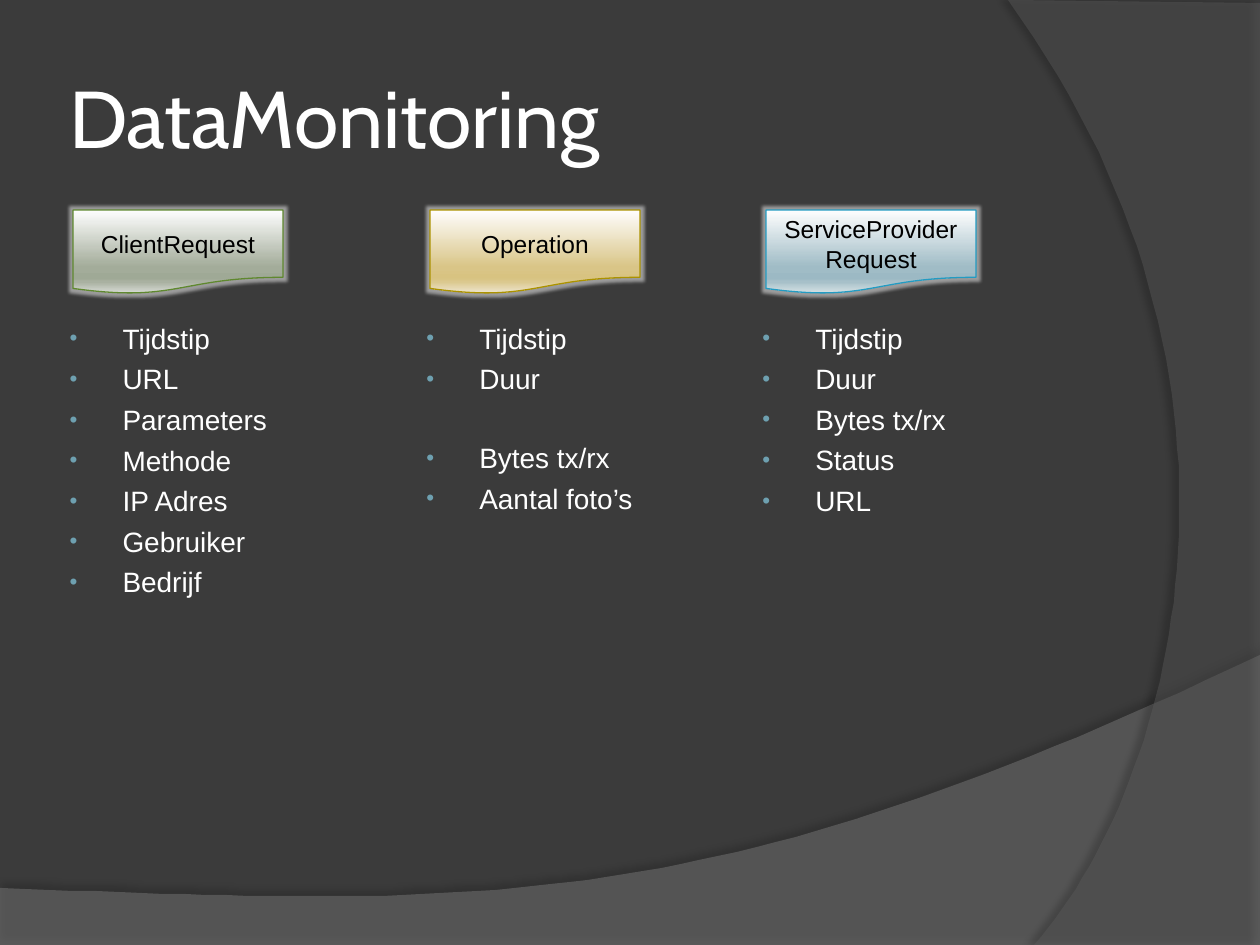
import pptx
import pptx.dml.color
import pptx.enum.shapes
import pptx.enum.text
import pptx.oxml
import pptx.oxml.ns
import pptx.util

EMU_PER_PX = 914400 / 126
NAMESPACE = pptx.oxml.ns.nsdecls("a")
COLORS = {
    "background": "3B3B3B", "lower_sweep": "7F7F7F", "right_sweep": "5E5E5E",
    "text": "FFFFFF", "label": "000000", "bullet": "6EA0B0",
    "shadow": "000000", "glow": "FFFFFF",
}
GRADIENT_POSITIONS = [0, 68, 81, 86, 100]
GAP = "gap before"
COLUMNS = [
    {"left": 52, "label": "ClientRequest", "line": "5F882F",
     "gradient": ["FEFEFE", "A3AC9A", "9FA996", "A9B1A1", "DBDED9"],
     "items": ["Tijdstip", "URL", "Parameters", "Methode", "IP Adres", "Gebruiker", "Bedrijf"]},
    {"left": 409, "label": "Operation", "line": "AB9200",
     "gradient": ["FFFEFE", "D9C587", "D8C381", "DBC990", "EFE7D3"],
     "items": ["Tijdstip", "Duur", GAP, "Bytes tx/rx", "Aantal foto’s"]},
    {"left": 745, "label": "ServiceProviderRequest", "line": "239BC2",
     "gradient": ["FEFEFE", "A0BCC6", "9CB9C4", "A7C0C9", "DAE4E7"],
     "items": ["Tijdstip", "Duur", "Bytes tx/rx", "Status", "URL"]},
]


def px(value):
    return pptx.util.Emu(round(value * EMU_PER_PX))


def rgb(hex_value):
    return pptx.dml.color.RGBColor.from_string(hex_value)


def apply_format(target, values):
    for name, value in values.items():
        setattr(target, name, value)


def place(shape, left, top, width, height):
    apply_format(shape, {"left": px(left), "top": px(top),
                         "width": px(width), "height": px(height)})


def write_text(paragraph, text, size, font_name, color):
    run = paragraph.add_run()
    run.text = text
    apply_format(run.font, {"size": pptx.util.Pt(size), "name": font_name, "bold": False})
    run.font.color.rgb = rgb(color)


def add_effect(shape, xml):
    shape.shadow.inherit = False
    shape.element.spPr.find(pptx.oxml.ns.qn("a:effectLst")).append(pptx.oxml.parse_xml(xml))


def curve_points(start, first, second, end, steps=60):
    """Points along a cubic curve, without its start."""
    for step in range(1, steps + 1):
        t = step / steps
        weights = ((1 - t) ** 3, 3 * t * (1 - t) ** 2, 3 * t * t * (1 - t), t ** 3)
        yield tuple(sum(weight * point[axis] for weight, point in
                        zip(weights, (start, first, second, end))) for axis in (0, 1))


def add_sweep(slide, corners, curve, color, opacity, shadow_opacity, direction):
    points = corners + list(curve_points(corners[-1], *curve))
    builder = slide.shapes.build_freeform(*points[0], scale=EMU_PER_PX)
    builder.add_line_segments(points[1:], close=True)
    shape = builder.convert_to_shape()
    shape.fill.solid()
    shape.fill.fore_color.rgb = rgb(color)
    shape.line.fill.background()
    color_element = next(shape.element.spPr.iter(pptx.oxml.ns.qn("a:srgbClr")))
    color_element.append(pptx.oxml.parse_xml(f'<a:alpha {NAMESPACE} val="{opacity * 1000}"/>'))
    add_effect(shape, f'<a:outerShdw {NAMESPACE} blurRad="50800" dist="50800" '
                      f'dir="{direction * 60000}" algn="ctr" rotWithShape="0">'
                      f'<a:srgbClr val="{COLORS["shadow"]}">'
                      f'<a:alpha val="{shadow_opacity * 1000}"/></a:srgbClr></a:outerShdw>')
    return shape


def add_background(slide):
    slide.background.fill.solid()
    slide.background.fill.fore_color.rgb = rgb(COLORS["background"])
    lower = add_sweep(slide, [(0, 888), (0, 945), (1260, 945), (1260, 655)],
                      [(704, 919), (493, 906), (0, 888)],
                      COLORS["lower_sweep"], 45, 35, 270)
    right = add_sweep(slide, [(1260, 3), (1260, 945), (1034, 945)],
                      [(1178, 780), (1283, 378), (1008, 0)],
                      COLORS["right_sweep"], 40, 45, 180)
    # Sweeps lie behind the placeholders
    for shape in (right, lower):
        slide.shapes.element.insert(2, shape.element)


def fill_title(title, text):
    place(title, 63, 38, 1029, 157)
    frame = title.text_frame
    apply_format(frame, {
        "word_wrap": True, "auto_size": pptx.enum.text.MSO_AUTO_SIZE.NONE,
        "vertical_anchor": pptx.enum.text.MSO_ANCHOR.MIDDLE,
        "margin_left": px(6), "margin_right": px(6),
        "margin_top": px(6), "margin_bottom": px(6)})
    frame.paragraphs[0].alignment = pptx.enum.text.PP_ALIGN.LEFT
    write_text(frame.paragraphs[0], text, 46, "Cabin", COLORS["text"])


def add_label(shapes, column):
    shape = shapes.add_shape(pptx.enum.shapes.MSO_SHAPE.FLOWCHART_DOCUMENT,
                             px(column["left"] + 21), px(210), px(210), px(84))
    shape.fill.gradient()
    shape.fill.gradient_angle = 270
    stops = next(shape.element.spPr.iter(pptx.oxml.ns.qn("a:gsLst")))
    for stop in list(stops):
        stops.remove(stop)
    for position, color in zip(GRADIENT_POSITIONS, column["gradient"]):
        stops.append(pptx.oxml.parse_xml(
            f'<a:gs {NAMESPACE} pos="{position * 1000}"><a:srgbClr val="{color}"/></a:gs>'))
    shape.line.color.rgb = rgb(column["line"])
    shape.line.width = pptx.util.Pt(0.75)
    add_effect(shape, f'<a:glow {NAMESPACE} rad="50800"><a:srgbClr val="{COLORS["glow"]}">'
                      '<a:alpha val="50000"/></a:srgbClr></a:glow>')
    frame = shape.text_frame
    apply_format(frame, {"word_wrap": True,
                         "vertical_anchor": pptx.enum.text.MSO_ANCHOR.MIDDLE})
    frame.paragraphs[0].alignment = pptx.enum.text.PP_ALIGN.CENTER
    write_text(frame.paragraphs[0], column["label"], 14, "Arial", COLORS["label"])


def set_bullet(paragraph):
    properties = paragraph._p.get_or_add_pPr()
    properties.set("marL", str(px(58)))
    properties.set("indent", str(px(-53)))
    for xml in (f'<a:buClr {NAMESPACE}><a:srgbClr val="{COLORS["bullet"]}"/></a:buClr>',
                f'<a:buSzPct {NAMESPACE} val="80000"/>',
                f'<a:buFont {NAMESPACE} typeface="Arial"/>',
                f'<a:buChar {NAMESPACE} char="•"/>'):
        properties.append(pptx.oxml.parse_xml(xml))


def fill_list(shape, column):
    place(shape, column["left"], 315, 336, 494)
    frame = shape.text_frame
    apply_format(frame, {"word_wrap": True,
                         "auto_size": pptx.enum.text.MSO_AUTO_SIZE.NONE,
                         "vertical_anchor": pptx.enum.text.MSO_ANCHOR.TOP})
    paragraph = frame.paragraphs[0]
    space_before = 4
    for index, item in enumerate(column["items"]):
        if item == GAP:
            space_before = 26
            continue
        if index:
            paragraph = frame.add_paragraph()
        paragraph.space_before = pptx.util.Pt(space_before)
        set_bullet(paragraph)
        write_text(paragraph, item, 16, "Arial", COLORS["text"])
        space_before = 4


def main():
    presentation = pptx.Presentation()
    apply_format(presentation, {"slide_width": px(1260), "slide_height": px(945)})
    slide = presentation.slides.add_slide(presentation.slide_layouts[1])
    add_background(slide)
    fill_title(slide.shapes.title, "DataMonitoring")

    # First list sits in the body placeholder, the others are grouped with their label
    add_label(slide.shapes, COLUMNS[0])
    fill_list(slide.placeholders[1], COLUMNS[0])
    for column in COLUMNS[1:]:
        group = slide.shapes.add_group_shape()
        add_label(group.shapes, column)
        fill_list(group.shapes.add_textbox(0, 0, px(336), px(494)), column)
    presentation.save("out.pptx")


if __name__ == "__main__":
    main()
